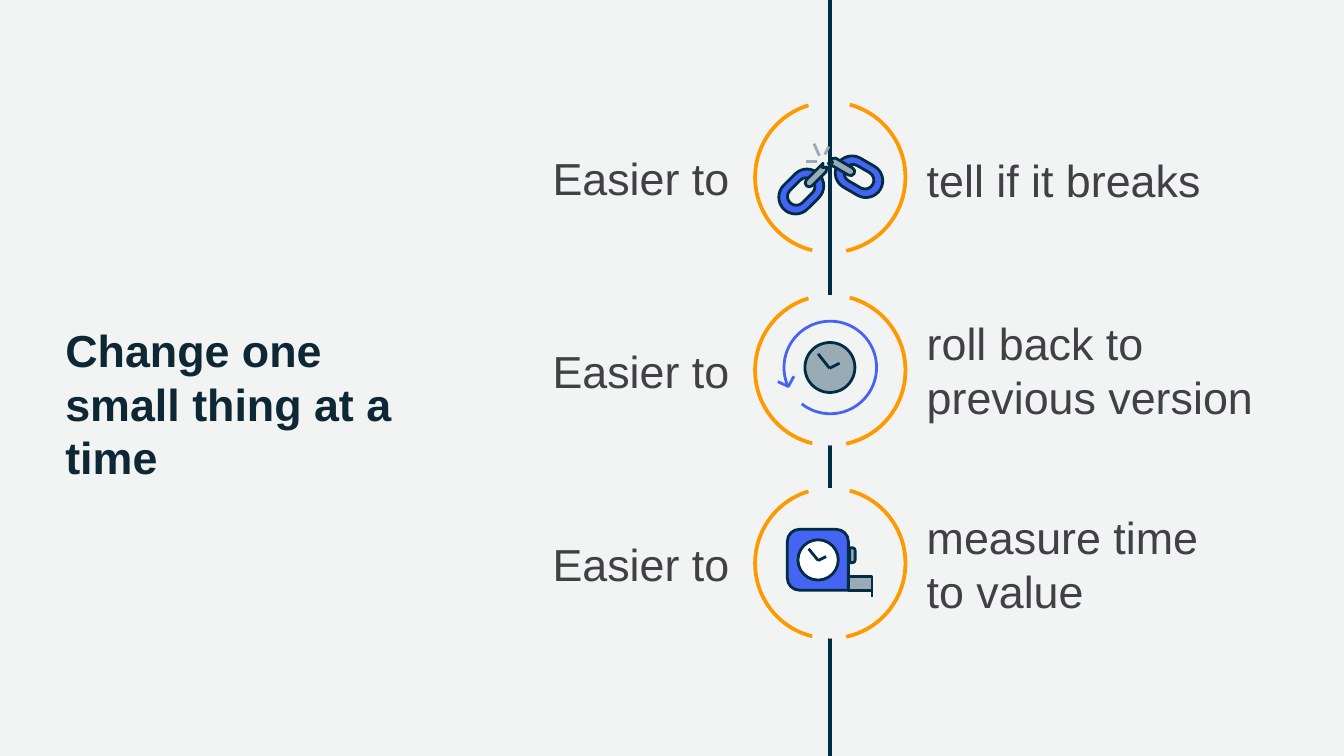
from math import cos, radians, sin, tan

from lxml import etree
from pptx import Presentation
from pptx.dml.color import RGBColor
from pptx.enum import shapes, text
from pptx.oxml import ns
from pptx.util import Pt

TITLE = "Change one small thing at a time"
LEAD = "Easier to"
# Wording and the top of its box, measured from the middle of its circle
BENEFITS = [
    ("tell if it breaks", -16.5),
    ("roll back to\nprevious version", -32.8),
    ("measure time\nto value", -32.4),
]
BACKGROUND, NAVY, ORANGE = "F2F4F4", "002D43", "FF9900"
BLUE, STEEL, WHITE = "4664F2", "99ABB4", "FFFFFF"
TITLE_INK, BODY_INK = "0E2735", "414042"
WIDTH, HEIGHT = 720, 405
AXIS, FIRST_ROW, PITCH, DIAMETER = 444.8, 95, 103.4, 80.6
ARCS = [(False, 171.03, 46.67), (True, 172.11, 45.66)]
ICON_LINE = 1.5

SPARKS = [((-5.8, -11.5), (-8.7, -18)), ((-2.9, -12.2), (-0.8, -16.5)),
          ((-7.2, -8.6), (-13, -8.6))]
TAPE_HANDS = [((-6.5, -1.5), (-11.6, -7.8)), ((-6.5, -1.5), (-2.2, -3.6))]
CLOCK_HANDS = [((-0.4, -1.1), (-6.5, -8.8)), ((-0.4, -1.1), (5, -3.8))]
ARROWHEAD = [(-19.5, 3.2), (-22.4, 8.7), (-28.1, 6.1)]
# Rotation, middle of the link, rotation of the bar, middle of the bar
LINKS = [(30, (15.4, -0.3), 30, (6.4, -5.7)), (-45, (-15.5, 7.6), 135, (-7.6, -0.7))]


def color(value):
    return RGBColor.from_string(value)


def paint(shape, fill=None, line=None, weight=ICON_LINE):
    shape.shadow.inherit = False
    if fill:
        shape.fill.solid()
        shape.fill.fore_color.rgb = color(fill)
    else:
        shape.fill.background()
    if line:
        shape.line.color.rgb = color(line)
        shape.line.width = Pt(weight)
    else:
        shape.line.fill.background()
    return shape


def write(shape, wording, ink=BODY_INK, bold=False, size=24):
    frame = shape.text_frame
    frame.word_wrap = True
    frame.auto_size = text.MSO_AUTO_SIZE.NONE
    frame.vertical_anchor = text.MSO_ANCHOR.TOP
    paragraph = frame.paragraphs[0]
    paragraph.text = wording
    paragraph.alignment = text.PP_ALIGN.LEFT
    paragraph.space_before = Pt(0)
    for run in paragraph.runs:
        run.font.name, run.font.size, run.font.bold = "Arial", Pt(size), bold
        run.font.color.rgb = color(ink)


def arc(x, y, radius, *angles):
    """First point, then one (control, control, end) curve between each two angles."""
    def at(angle):
        return x + radius * cos(radians(angle)), y + radius * sin(radians(angle))

    steps = [at(angles[0])]
    for start, end in zip(angles, angles[1:]):
        pull = radius * 4 / 3 * tan(radians(end - start) / 4)
        a, b = radians(start), radians(end)
        (x1, y1), (x2, y2) = at(start), at(end)
        steps.append(((x1 - pull * sin(a), y1 + pull * cos(a)),
                      (x2 + pull * sin(b), y2 - pull * cos(b)), (x2, y2)))
    return steps


def capsule(length, width):
    reach = (length - width) / 2
    return (arc(reach, 0, width / 2, -90, 0, 90)
            + arc(-reach, 0, width / 2, 90, 180, 270))


def is_curve(step):
    return len(step) == 3


class Canvas:
    """Draws on a shape tree, with points measured from (x, y)."""

    def __init__(self, tree, x=0, y=0):
        self.tree, self.x, self.y = tree, x, y

    def place(self, point):
        return Pt(self.x + point[0]), Pt(self.y + point[1])

    def preset(self, kind, left, top, width, height, **look):
        shape = self.tree.add_shape(kind, *self.place((left, top)), Pt(width), Pt(height))
        return paint(shape, **look)

    def disc(self, x, y, diameter, **look):
        return self.preset(shapes.MSO_SHAPE.OVAL, x - diameter / 2, y - diameter / 2,
                           diameter, diameter, **look)

    def line(self, start, end, ink=NAVY, weight=ICON_LINE):
        connector = self.tree.add_connector(
            shapes.MSO_CONNECTOR.STRAIGHT, *self.place(start), *self.place(end))
        connector.line.color.rgb = color(ink)
        connector.line.width = Pt(weight)
        etree.SubElement(connector._element.spPr, ns.qn("a:effectLst"))

    def outline(self, *contours, closed=True, rotation=0, **look):
        builder = None
        for first, *steps in contours:
            if builder is None:
                builder = self.tree.build_freeform(*self.place(first), scale=1.0)
            else:
                builder.move_to(*self.place(first))
            points = [p for step in steps for p in (step if is_curve(step) else [step])]
            builder.add_line_segments([self.place(p) for p in points], close=closed)
        shape = builder.convert_to_shape()
        segments = shape._element.iter(ns.qn("a:lnTo"))
        segments = iter(list(segments))
        for step in [step for contour in contours for step in contour[1:]]:
            segment = next(segments)
            if is_curve(step):
                segment.tag = ns.qn("a:cubicBezTo")
                for _ in range(2):
                    extra = next(segments)
                    segment.append(extra[0])
                    extra.getparent().remove(extra)
        shape.rotation = rotation
        return paint(shape, **look)


def draw_broken_chain(icon):
    bar = [(-5.4, -2.2), *arc(5.2, 0, 2.2, -90, 0, 90),
           (-7.4, 2.2), (-5.6, 0.7), (-7.4, -0.6)]
    for angle, link, bar_angle, middle in LINKS:
        part = Canvas(icon.tree, icon.x + link[0], icon.y + link[1])
        part.outline(capsule(26.6, 18), capsule(17, 9.4), rotation=angle, fill=BLUE, line=NAVY)
        part = Canvas(icon.tree, icon.x + middle[0], icon.y + middle[1])
        part.outline(bar, rotation=bar_angle, fill=STEEL, line=NAVY)
    for start, end in SPARKS:
        icon.line(start, end, ink=STEEL)


def draw_rewind_clock(icon):
    icon.outline(arc(0, -1.5, 24.8, 128, 90, 0, -90, -180, -204), closed=False, line=BLUE)
    icon.outline(ARROWHEAD, closed=False, line=BLUE)
    icon.disc(-0.2, -1.5, 26.8, fill=STEEL, line=NAVY)
    for start, end in CLOCK_HANDS:
        icon.line(start, end)


def draw_tape_measure(icon):
    left, top, right, bottom, radius = -23, -18.2, 9.7, 14.4, 6.5
    body = [(right, bottom)]
    for x, y, start in [(left + radius, bottom - radius, 90),
                        (left + radius, top + radius, 180),
                        (right - radius, top + radius, 270)]:
        body += arc(x, y, radius, start, start + 90)
    icon.outline(body, fill=BLUE, line=NAVY)
    icon.preset(shapes.MSO_SHAPE.RECTANGLE, right, 7.2, 12.7, 7.2, fill=STEEL, line=NAVY)
    icon.line((22.4, 7.2), (22.4, 18))
    icon.disc(-6.5, -1.8, 21.6, fill=WHITE, line=NAVY)
    for start, end in TAPE_HANDS:
        icon.line(start, end)
    button = icon.preset(shapes.MSO_SHAPE.ROUND_2_SAME_RECTANGLE, 7.9, -5.8, 7.9, 2.9,
                         fill=STEEL, line=NAVY)
    button.rotation = 90
    button.adjustments[0], button.adjustments[1] = 0.5, 0


def main():
    presentation = Presentation()
    presentation.slide_width, presentation.slide_height = Pt(WIDTH), Pt(HEIGHT)
    slide = presentation.slides.add_slide(presentation.slide_layouts[5])
    slide.background.fill.solid()
    slide.background.fill.fore_color.rgb = color(BACKGROUND)

    title = slide.shapes.title
    title.left, title.top, title.width, title.height = Pt(27.8), Pt(169.2), Pt(218), Pt(67)
    write(title, TITLE, ink=TITLE_INK, bold=True)

    Canvas(slide.shapes).line((AXIS, 0), (AXIS, HEIGHT), weight=2)
    drawings = [draw_broken_chain, draw_rewind_clock, draw_tape_measure]
    for row, ((benefit, top), draw) in enumerate(zip(BENEFITS, drawings)):
        middle = FIRST_ROW + row * PITCH
        canvas = Canvas(slide.shapes, AXIS, middle)
        if row:
            canvas.disc(0, 0, DIAMETER, fill=BACKGROUND)
        draw(Canvas(slide.shapes.add_group_shape().shapes, AXIS, middle))
        for flipped, start, end in ARCS:
            half = canvas.preset(shapes.MSO_SHAPE.ARC, -DIAMETER / 2, -DIAMETER / 2,
                                 DIAMETER, DIAMETER, line=ORANGE, weight=2)
            half.adjustments[0], half.adjustments[1] = start, end
            if flipped:
                half._element.spPr.find(ns.qn("a:xfrm")).set("flipH", "1")
        for wording, left, offset, width, height in [
                (LEAD, 288.9, -17.8, 115, 36),
                (benefit, 489.4, top, 213, 33 * (1 + benefit.count("\n")))]:
            box = slide.shapes.add_textbox(Pt(left), Pt(middle + offset), Pt(width), Pt(height))
            write(box, wording)

    presentation.save("out.pptx")


if __name__ == "__main__":
    main()
